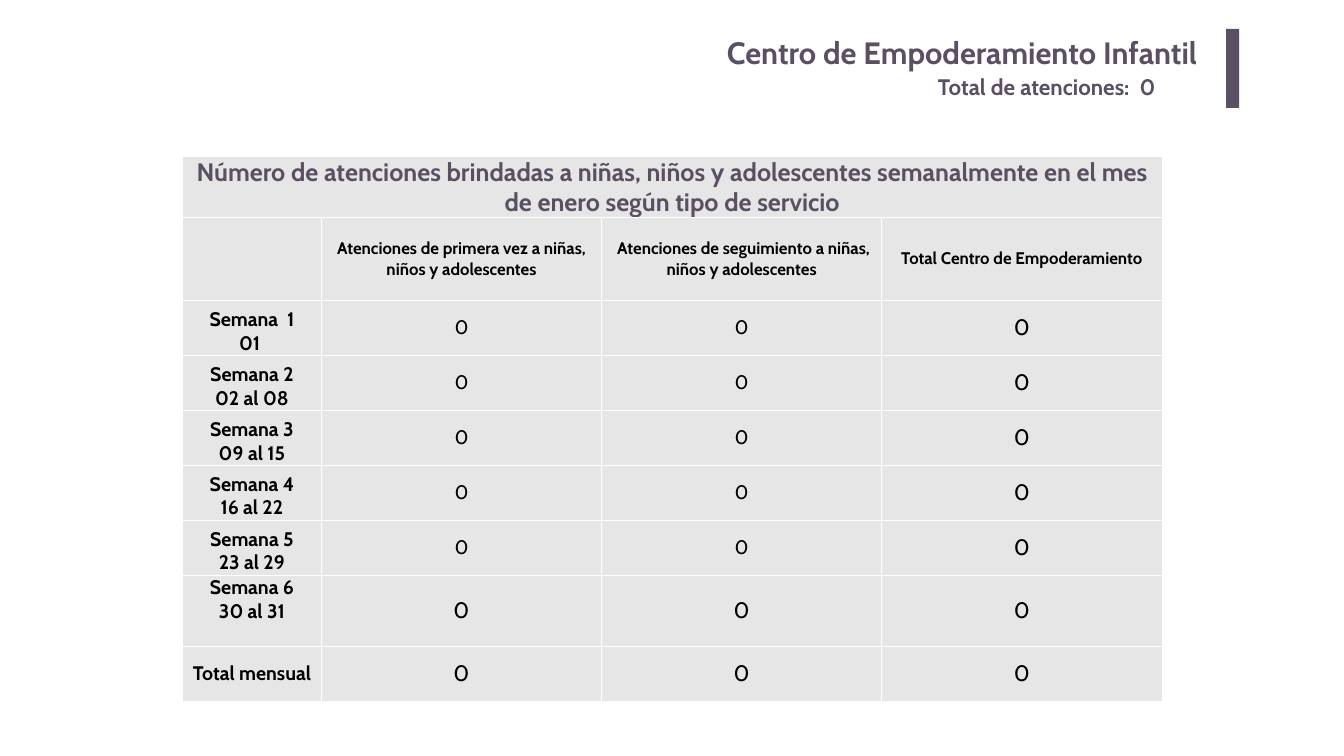
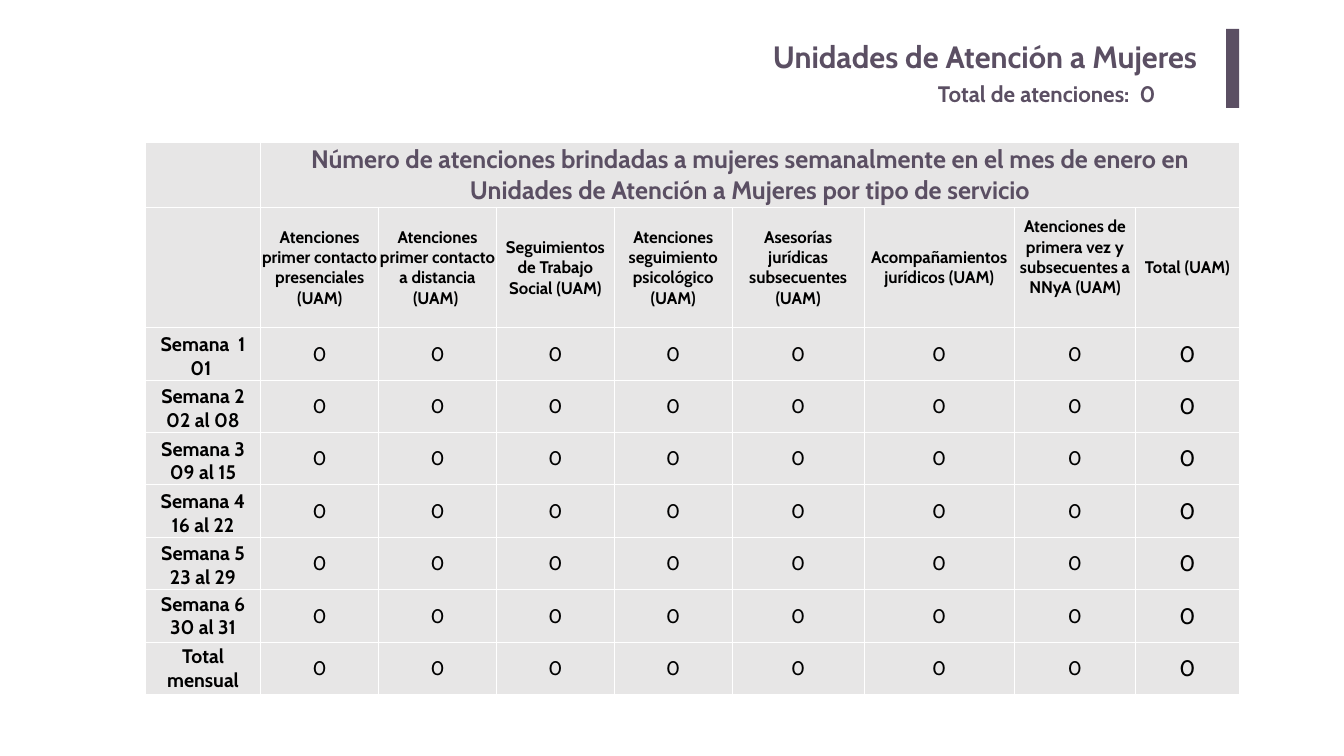
"""Build two slides of weekly care counts, each with a heading and a table."""
from lxml import etree
from pptx import Presentation
from pptx import util as u
from pptx.dml.color import RGBColor
from pptx.enum import shapes, text
from pptx.oxml.ns import qn

PLUM, GREY, WHITE, BLACK = "5B4F63", "E7E6E6", "FFFFFF", "000000"
FACE = "Cabin"
MID, LOW, TOP = (text.MSO_ANCHOR.MIDDLE, text.MSO_ANCHOR.BOTTOM,
                 text.MSO_ANCHOR.TOP)
LEFT, MIDST, RIGHT = (text.PP_ALIGN.LEFT, text.PP_ALIGN.CENTER,
                      text.PP_ALIGN.RIGHT)
SIDES = ("left", "top", "right", "bottom")

WEEKS = ["Semana  1\n01 ", "Semana 2\n02 al 08", "Semana 3\n09 al 15",
         "Semana 4\n16 al 22", "Semana 5\n23 al 29", "Semana 6\n30 al 31",
         "Total mensual"]
TOTAL = "Total de atenciones:  0"

PAGES = [
    {"title": "Centro de Empoderamiento Infantil",
     "tops": (1.47, 3.58),
     "head": "Número de atenciones brindadas a niñas, niños y adolescentes "
             "semanalmente en el mes de enero según tipo de servicio",
     "first": 0,
     "kinds": ["Atenciones de primera vez a niñas, niños y adolescentes",
               " Atenciones de seguimiento a niñas, niños y adolescentes",
               "Total Centro de Empoderamiento"],
     "at": (9.19, 7.87),
     "cols": [7.01] + [14.12] * 3,
     "rows": [3.05, 4.17] + [2.77] * 5 + [3.58, 2.77],
     "big": (5, 6), "sixth": TOP, "lift": {}},
    {"title": "Unidades de Atención a Mujeres",
     "tops": (1.63, 3.89),
     "head": "Número de atenciones brindadas a mujeres semanalmente en el mes "
             "de enero en Unidades de Atención a Mujeres por tipo de servicio",
     "first": 1,
     "kinds": ["Atenciones primer contacto presenciales (UAM)",
               "Atenciones primer contacto a distancia (UAM) ",
               "Seguimientos de Trabajo Social (UAM)",
               "Atenciones seguimiento psicológico (UAM)",
               "Asesorías jurídicas subsecuentes (UAM)",
               "Acompañamientos jurídicos (UAM)",
               "Atenciones de primera vez y subsecuentes a NNyA (UAM)",
               "Total (UAM)"],
     "at": (7.32, 7.16),
     "cols": [5.82] + [5.94] * 4 + [6.65, 7.57, 6.12, 5.21],
     "rows": [3.28, 6.07] + [2.64] * 7,
     "big": (), "sixth": MID, "lift": {7: 1.04}},
]


def tint(code):
    """Turn a hex string into a colour."""
    return RGBColor.from_string(code)


def put(obj, **vals):
    """Set several attributes on one object."""
    for key, val in vals.items():
        setattr(obj, key, val)


def write(frame, words, size, color, bold=True, align=MIDST):
    """Write one styled paragraph, with line breaks, in a text frame."""
    para = frame.paragraphs[0]
    put(para, text=words, alignment=align)
    for run in para.runs:
        put(run.font, name=FACE, size=u.Pt(size), bold=bold)
        run.font.color.rgb = tint(color)


def label(slide, box, words, size, align, pads):
    """Add a plum text box with side and top insets."""
    frame = slide.shapes.add_textbox(*map(u.Cm, box)).text_frame
    frame.word_wrap = True
    for side, pad in zip(SIDES, pads * 2):
        setattr(frame, "margin_" + side, u.Cm(pad))
    write(frame, words, size, PLUM, align=align)


def edge(cell):
    """Draw thin white borders round a cell."""
    props = cell._tc.get_or_add_tcPr()
    for spot, tag in enumerate(("a:lnL", "a:lnR", "a:lnT", "a:lnB")):
        line = etree.Element(qn(tag), w=str(u.Pt(1)))
        fill = etree.SubElement(line, qn("a:solidFill"))
        etree.SubElement(fill, qn("a:srgbClr"), val=WHITE)
        props.insert(spot, line)


def heading(slide, page):
    """Add the title, the total and the plum bar."""
    high, low = page["tops"]
    label(slide, (9.3, high, 51.56, 2.59), page["title"], 44, RIGHT,
          (0.51, 0.25))
    label(slide, (47.02, low, 14, 1.63), TOTAL, 32, LEFT, (0.25, 0.13))
    bar = slide.shapes.add_shape(shapes.MSO_SHAPE.RECTANGLE,
                                 *map(u.Cm, (61.8, 1.45, 0.66, 3.99)))
    bar.shadow.inherit = False
    bar.fill.solid()
    bar.fill.fore_color.rgb = tint(PLUM)
    bar.line.fill.background()


def chart(slide, page):
    """Add the table of weeks by kind of service."""
    cols, rows, first = page["cols"], page["rows"], page["first"]
    size = (sum(cols), sum(rows))
    grid = slide.shapes.add_table(len(rows), len(cols),
                                  *map(u.Cm, page["at"] + size)).table
    put(grid, first_row=False, horz_banding=False)
    for col, wide in zip(grid.columns, cols):
        col.width = u.Cm(wide)
    for row, tall in zip(grid.rows, rows):
        row.height = u.Cm(tall)
    for cell in grid.iter_cells():
        put(cell, vertical_anchor=MID, margin_left=u.Cm(0.03),
            margin_top=u.Cm(0.03), margin_right=u.Cm(0.03), margin_bottom=0)
        cell.fill.solid()
        cell.fill.fore_color.rgb = tint(GREY)
        edge(cell)
    last = len(cols) - 1
    head = grid.cell(0, first)
    head.merge(grid.cell(0, last))
    write(head.text_frame, page["head"], 36, PLUM)
    for c, kind in enumerate(page["kinds"], 1):
        cell = grid.cell(1, c)
        write(cell.text_frame, kind, 24, BLACK)
        cell.margin_bottom = u.Cm(page["lift"].get(c, 0))
    spots = [LOW] * 5 + [page["sixth"], MID]
    for r, (week, spot) in enumerate(zip(WEEKS, spots)):
        cell = grid.cell(r + 2, 0)
        cell.vertical_anchor = spot
        write(cell.text_frame, week, 28, BLACK)
        for c in range(1, last + 1):
            large = c == last or r in page["big"]
            write(grid.cell(r + 2, c).text_frame, "0", 32 if large else 28,
                  BLACK, bold=False)


def main():
    """Build and save the deck."""
    deck = Presentation()
    put(deck, slide_width=u.Cm(67.74), slide_height=u.Cm(38.1))
    for page in PAGES:
        slide = deck.slides.add_slide(deck.slide_layouts[6])
        heading(slide, page)
        chart(slide, page)
    deck.save("out.pptx")


if __name__ == "__main__":
    main()
